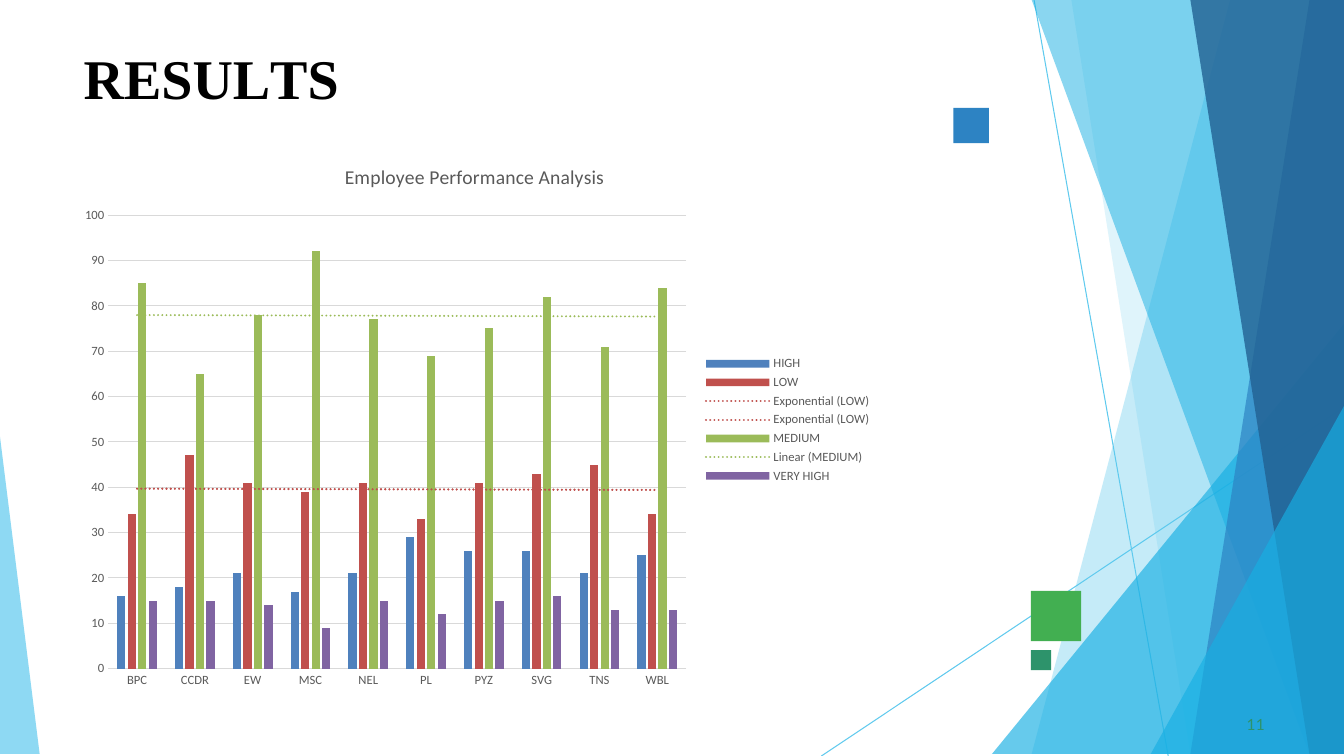
from lxml.etree import SubElement
from pptx import Presentation
from pptx.chart.data import CategoryChartData
from pptx.dml.color import RGBColor
from pptx.enum.chart import XL_CHART_TYPE, XL_LEGEND_POSITION, XL_TICK_MARK
from pptx.enum.shapes import MSO_CONNECTOR, MSO_SHAPE
from pptx.enum.text import MSO_ANCHOR, PP_ALIGN
from pptx.oxml import parse_xml
from pptx.oxml.ns import nsdecls, qn
from pptx.util import Cm, Pt

WIDE, HIGH = 33.87, 19.05
HUES = {
    "sky": "5FCAEE", "cyan": "17AFE3", "blue": "2D83C3", "navy": "226192",
    "green": "42AF51", "teal": "2D936B", "black": "000000",
    "grey": "595959", "grid": "D9D9D9",
    "HIGH": "4F81BD", "LOW": "C0504D", "MEDIUM": "9BBB59", "VERY HIGH": "8064A2",
}


def rgb(hue):
    return RGBColor.from_string(HUES[hue])


def facet(points, hue, alpha):
    """Draw a borderless polygon, points in cm, alpha in percent."""
    pen = slide.shapes.build_freeform(*points[0], scale=Cm(1))
    pen.add_line_segments(points[1:], close=True)
    shape = pen.convert_to_shape()
    shape.shadow.inherit = False
    shape.line.fill.background()
    shape.fill.solid()
    shape.fill.fore_color.rgb = rgb(hue)
    color = shape._element.spPr.find(qn("a:solidFill"))[0]
    SubElement(color, qn("a:alpha"), val=str(alpha * 1000))


deck = Presentation()
deck.slide_width, deck.slide_height = Cm(WIDE), Cm(HIGH)
slide = deck.slides.add_slide(deck.slide_layouts[5])

# Backdrop lines
for x1, y1, x2 in [(26.06, 0, 29.44), (WIDE, 10.26, 20.7)]:
    line = slide.shapes.add_connector(
        MSO_CONNECTOR.STRAIGHT, Cm(x1), Cm(y1), Cm(x2), Cm(HIGH))
    line.line.color.rgb = rgb("sky")
    line.line.width = Pt(0.75)
    SubElement(line._element.spPr, qn("a:effectLst"))

# Facets along the right edge: top y, top x, bottom x
for top, x1, x2, hue, alpha in [
    (0, 31.19, 25.5, "sky", 36),
    (0, 26.67, 30.02, "sky", 20),
    (8.46, WIDE, 24.82, "cyan", 66),
    (0, 25.93, 32.79, "cyan", 50),
    (0, 33.1, 30.28, "blue", 70),
    (0, 30.38, 33.48, "navy", 80),
    (9.98, WIDE, 28.8, "cyan", 66),
]:
    facet([(WIDE, top), (x1, top), (x2, HIGH), (WIDE, HIGH)], hue, alpha)
facet([(0, 11.15), (0, HIGH), (1.24, HIGH)], "sky", 70)

for x, y, size, hue in [
    (25.98, 14.89, 1.27, "green"),
    (24.03, 2.72, 0.89, "blue"),
    (25.98, 16.38, 0.51, "teal"),
]:
    box = slide.shapes.add_shape(
        MSO_SHAPE.RECTANGLE, Cm(x), Cm(y), Cm(size), Cm(size))
    box.shadow.inherit = False
    box.line.fill.background()
    box.fill.solid()
    box.fill.fore_color.rgb = rgb(hue)

# Title and page number
title = slide.shapes.title
title.left, title.top, title.width, title.height = Cm(2.11), Cm(1.07), Cm(11.23), Cm(1.75)
page = slide.shapes.add_textbox(Cm(31.32), Cm(17.98), Cm(0.64), Cm(0.53))
for holder, runs, font, size, hue, bold in [
    (title, [("RESU", 0), ("L", -400), ("TS", 0)], "Times New Roman", 40, "black", True),
    (page, [("11", 10)], "Lato", 11, "teal", False),
]:
    frame = holder.text_frame
    frame.margin_left = frame.margin_right = frame.margin_bottom = 0
    frame.margin_top = Cm(0.03)
    frame.vertical_anchor = MSO_ANCHOR.TOP
    frame.word_wrap = True
    para = frame.paragraphs[0]
    para.alignment = PP_ALIGN.LEFT
    para.font.name, para.font.size, para.font.bold = font, Pt(size), bold
    para.font.color.rgb = rgb(hue)
    for text, gap in runs:
        run = para.add_run()
        run.text = text
        run.font._element.set("spc", str(gap))
para.space_before = Pt(0.6)
para._p.get_or_add_pPr().set("marL", str(Cm(0.1)))

# Chart
data = CategoryChartData()
data.categories = ["BPC", "CCDR", "EW", "MSC", "NEL", "PL", "PYZ", "SVG", "TNS", "WBL"]
data.add_series("HIGH", [16, 18, 21, 17, 21, 29, 26, 26, 21, 25])
data.add_series("LOW", [34, 47, 41, 39, 41, 33, 41, 43, 45, 34])
data.add_series("MEDIUM", [85, 65, 78, 92, 77, 69, 75, 82, 71, 84])
data.add_series("VERY HIGH", [15, 15, 14, 9, 15, 12, 15, 16, 13, 13])
chart = slide.shapes.add_chart(
    XL_CHART_TYPE.COLUMN_CLUSTERED, Cm(1.7), Cm(3.61), Cm(20.52), Cm(13.94), data).chart
chart.font.name, chart.font.size = "Calibri", Pt(9)
chart.font.color.rgb = rgb("grey")

chart.has_title = True
head = chart.chart_title.text_frame
head.text = "Employee Performance Analysis"
font = head.paragraphs[0].font
font.name, font.size, font.bold = "Calibri", Pt(14), False
font.color.rgb = rgb("grey")

chart.has_legend = True
chart.legend.position = XL_LEGEND_POSITION.RIGHT
chart.legend.include_in_layout = False

for axis in (chart.category_axis, chart.value_axis):
    axis.major_tick_mark = axis.minor_tick_mark = XL_TICK_MARK.NONE
value = chart.value_axis
value.minimum_scale, value.maximum_scale, value.major_unit = 0, 100, 10
value.format.line.fill.background()
for line in (chart.category_axis.format.line, value.major_gridlines.format.line):
    line.color.rgb = rgb("grid")
    line.width = Pt(0.75)

plot = chart.plots[0]
plot.vary_by_categories = False
plot.gap_width, plot.overlap = 219, -27
trends = {"LOW": ["exp", "exp"], "MEDIUM": ["linear"]}
for series in plot.series:
    series.format.fill.solid()
    series.format.fill.fore_color.rgb = rgb(series.name)
    for kind in trends.get(series.name, []):
        series._element.find(qn("c:cat")).addprevious(parse_xml(
            f'<c:trendline {nsdecls("c", "a")}><c:spPr><a:ln w="{Pt(1.5)}" cap="rnd">'
            f'<a:solidFill><a:srgbClr val="{HUES[series.name]}"/></a:solidFill>'
            f'<a:prstDash val="sysDot"/></a:ln></c:spPr><c:trendlineType val="{kind}"/>'
            '<c:dispRSqr val="0"/><c:dispEq val="0"/></c:trendline>'))

# Inner plot area, as shares of the chart
area = chart._chartSpace.chart.plotArea
for old in area.findall(qn("c:layout")):
    area.remove(old)
area.insert(0, parse_xml(
    f'<c:layout {nsdecls("c")}><c:manualLayout><c:layoutTarget val="inner"/>'
    '<c:xMode val="edge"/><c:yMode val="edge"/><c:x val="0.05"/><c:y val="0.13"/>'
    '<c:w val="0.71"/><c:h val="0.82"/></c:manualLayout></c:layout>'))

deck.save("out.pptx")
